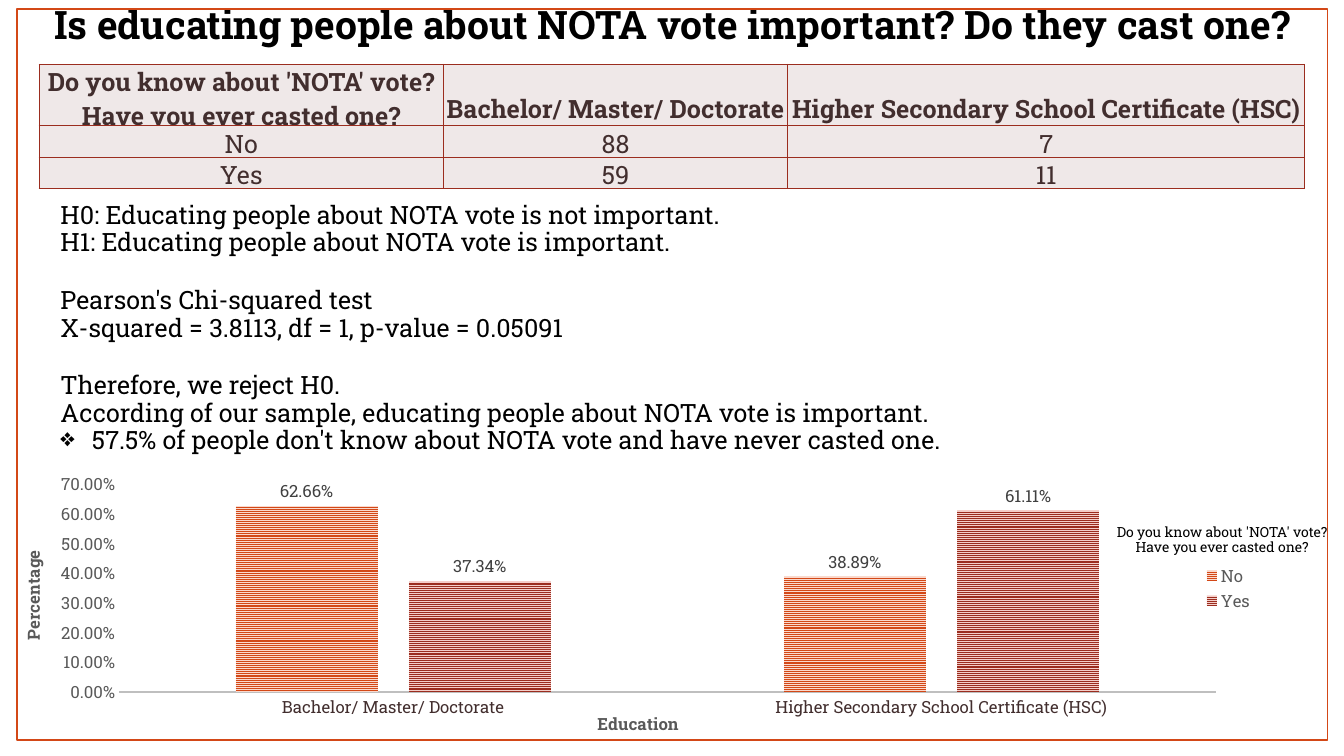
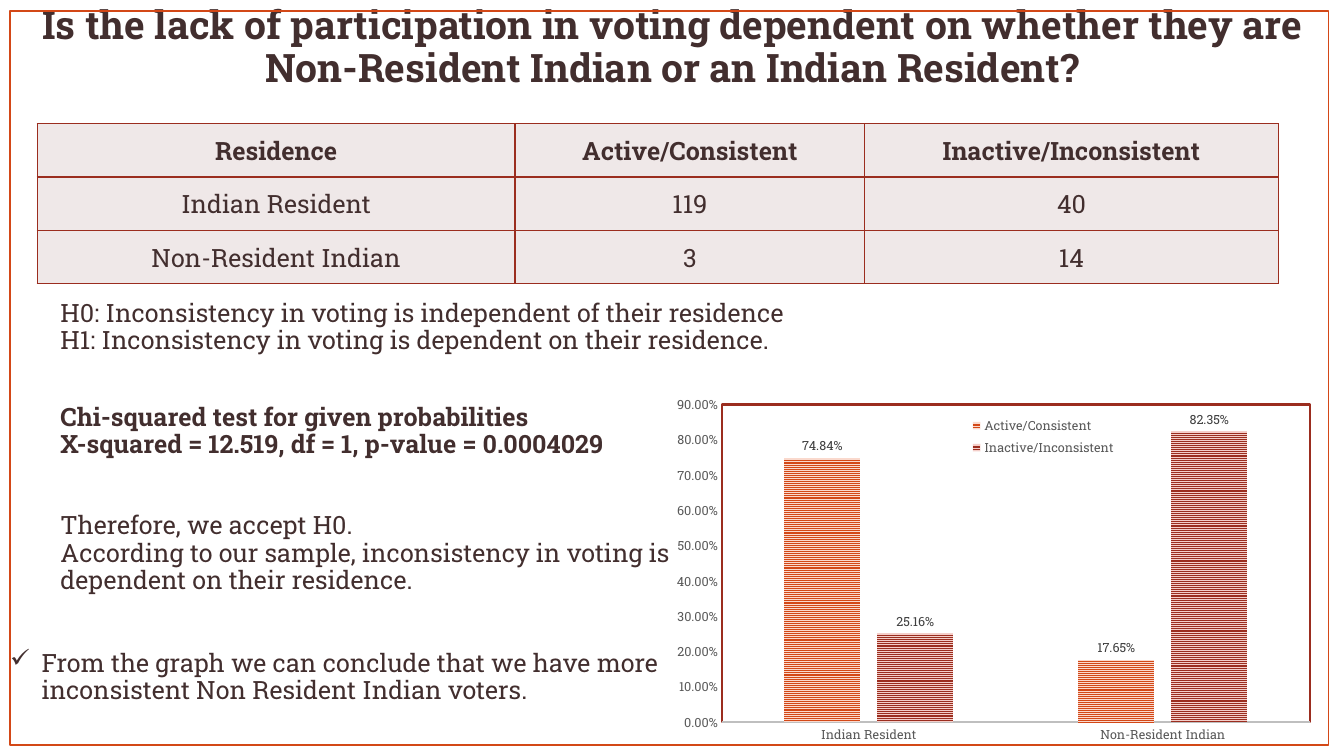
from lxml import etree
from pptx import Presentation
from pptx import util as u
from pptx.chart.data import CategoryChartData
from pptx.dml.color import RGBColor
from pptx.enum import chart as charts, dml, shapes, text
from pptx.oxml import ns

Pt = u.Pt
FONT = "Roboto Slab"
COLORS = {
    "black": "000000", "ink": "422E2E", "white": "FFFFFF",
    "orange": "D34817", "orange_pale": "FAD9CD",
    "red": "9B2D1F", "red_pale": "F4CEC9",
    "cell": "EFE8E8", "axis": "BFBFBF", "label": "404040", "grey": "595959",
}
SERIES_COLORS = (("orange", "orange_pale"), ("red", "red_pale"))
LINE_SPACING = 0.91
INDENT, HANG = 36, 22.5
PERCENT = "0.00%"


def rgb(name):
    return RGBColor.from_string(COLORS[name])


def set_all(target, **values):
    for name, value in values.items():
        setattr(target, name, value)


def style(font, size, color, bold=False):
    set_all(font, name=FONT, size=Pt(size), bold=bold)
    font.color.rgb = rgb(color)


def add_node(parent, tag, index=None, **attributes):
    node = etree.Element(ns.qn(tag), attributes)
    parent.insert(len(parent) if index is None else index, node)
    return node


def add_color_fill(parent, name):
    add_node(add_node(parent, "a:solidFill"), "a:srgbClr", val=COLORS[name])


def fill_para(para, words, size, color, bold=False, align=text.PP_ALIGN.LEFT):
    para.alignment = align
    span = para.add_run()
    span.text = words
    style(span.font, size, color, bold)


def next_para(frame, index):
    return frame.add_paragraph() if index else frame.paragraphs[0]


def text_frame(page, box):
    frame = page.shapes.add_textbox(*map(Pt, box)).text_frame
    set_all(frame, word_wrap=True, margin_left=0, margin_right=0,
            margin_top=0, margin_bottom=0)
    return frame


def add_centred(page, box, lines, size, color, bold=False):
    frame = text_frame(page, box)
    for index, words in enumerate(lines):
        para = next_para(frame, index)
        para.line_spacing = LINE_SPACING
        fill_para(para, words, size, color, bold, text.PP_ALIGN.CENTER)


def add_title(page, words, color):
    add_centred(page, (7.2, 3.6, 945.6, 74), [words], 28, color, True)


def add_body(page, box, color, lines):
    """Each line is a dict: words, and optionally gap, left, bullet, bold."""
    frame = text_frame(page, box)
    for index, line in enumerate(lines):
        para = next_para(frame, index)
        set_all(para, line_spacing=LINE_SPACING, space_before=Pt(line.get("gap", 0)))
        fill_para(para, line["words"], 18, color, line.get("bold", False))
        props = para._p.get_or_add_pPr()
        props.set("marL", str(Pt(line.get("left", INDENT))))
        if "bullet" in line:
            props.set("indent", str(Pt(-HANG)))
            add_node(props, "a:buChar", char=line["bullet"])


def add_cell_borders(cell):
    props = cell._tc.get_or_add_tcPr()
    for index, side in enumerate(("a:lnL", "a:lnR", "a:lnT", "a:lnB")):
        add_color_fill(add_node(props, side, index, w=str(Pt(1))), "red")


def add_grid(page, box, widths, heights, rows, anchor):
    holder = page.shapes.add_table(len(rows), len(widths), *map(Pt, box))
    table = holder.table
    for column, width in zip(table.columns, widths):
        column.width = Pt(width)
    for row, height in zip(table.rows, heights):
        row.height = Pt(height)
    holder.height = Pt(box[3])
    for r, row in enumerate(rows):
        for c, words in enumerate(row):
            cell = table.cell(r, c)
            set_all(cell, vertical_anchor=anchor, margin_left=Pt(0.7),
                    margin_right=Pt(0.7), margin_top=Pt(0.7), margin_bottom=0)
            cell.fill.solid()
            cell.fill.fore_color.rgb = rgb("cell")
            for index, line in enumerate(words.split("\n")):
                fill_para(next_para(cell.text_frame, index), line, 18, "ink",
                          r == 0, text.PP_ALIGN.CENTER)
            add_cell_borders(cell)


def set_layout(parent, index, fractions, inner=False):
    """Fix the place of a chart part as fractions of the chart."""
    for old in parent.findall(ns.qn("c:layout")):
        parent.remove(old)
    manual = add_node(add_node(parent, "c:layout", index), "c:manualLayout")
    if inner:
        add_node(manual, "c:layoutTarget", val="inner")
    for mode in ("c:xMode", "c:yMode"):
        add_node(manual, mode, val="edge")
    for tag, value in zip(("c:x", "c:y", "c:w", "c:h"), fractions):
        add_node(manual, tag, val=str(value))


def format_axis(axis, size, color, title):
    set_all(axis, has_major_gridlines=False, has_title=bool(title),
            major_tick_mark=charts.XL_TICK_MARK.NONE,
            minor_tick_mark=charts.XL_TICK_MARK.NONE)
    style(axis.tick_labels.font, size, color)
    if title:
        fill_para(axis.axis_title.text_frame.paragraphs[0], title, 12, "grey",
                  True, text.PP_ALIGN.CENTER)


def format_series(series, colors, size):
    fill = series.format.fill
    fill.patterned()
    fill.pattern = dml.MSO_PATTERN.NARROW_HORIZONTAL
    fill.fore_color.rgb, fill.back_color.rgb = map(rgb, colors)
    labels = series.data_labels
    set_all(labels, show_value=True, number_format=PERCENT,
            number_format_is_linked=False,
            position=charts.XL_LABEL_POSITION.OUTSIDE_END)
    style(labels.font, size, "label")


def add_columns(page, box, categories, series, size, top, plot_box, legend_box,
                category_color="grey", titles=(None, None), framed=False):
    data = CategoryChartData(number_format=PERCENT)
    data.categories = categories
    for name, values in series.items():
        data.add_series(name, values)
    chart = page.shapes.add_chart(
        charts.XL_CHART_TYPE.COLUMN_CLUSTERED, *map(Pt, box), data).chart
    style(chart.font, 10, "black")
    set_all(chart, has_title=False, has_legend=True)
    plot = chart.plots[0]
    set_all(plot, gap_width=164, overlap=-22, vary_by_categories=False)
    for item, colors in zip(plot.series, SERIES_COLORS):
        format_series(item, colors, size)

    format_axis(chart.category_axis, size, category_color, titles[0])
    line = chart.category_axis.format.line
    line.width, line.color.rgb = Pt(1.5), rgb("axis")
    values = chart.value_axis
    format_axis(values, size, "grey", titles[1])
    set_all(values, minimum_scale=0, maximum_scale=top, major_unit=0.1)
    set_all(values.tick_labels, number_format=PERCENT, number_format_is_linked=False)
    values.format.line.fill.background()

    legend = chart.legend
    legend.include_in_layout = False
    style(legend.font, size, "grey")
    set_layout(legend._element, 1, legend_box)
    area = chart._chartSpace.chart.plotArea
    set_layout(area, 0, plot_box, inner=True)
    if framed:
        props = add_node(area, "c:spPr")
        add_color_fill(props, "white")
        add_color_fill(add_node(props, "a:ln", w=str(Pt(1.5))), "red")


def add_border(page, box):
    border = page.shapes.add_shape(shapes.MSO_SHAPE.RECTANGLE, *map(Pt, box))
    border.shadow.inherit = False
    border.fill.background()
    border.line.width, border.line.color.rgb = Pt(1), rgb("orange")


def nota_slide(page):
    question = ["Do you know about 'NOTA' vote?", "Have you ever casted one?"]
    levels = ["Bachelor/ Master/ Doctorate", "Higher Secondary School Certificate (HSC)"]
    add_title(page, "Is educating people about NOTA vote important? Do they cast one?", "black")
    add_body(page, (7.2, 144.6, 945.6, 195), "black", [
        {"words": "H0: Educating people about NOTA vote is not important."},
        {"words": "H1: Educating people about NOTA vote is important."},
        {"words": "Pearson's Chi-squared test", "gap": 21.6},
        {"words": "X-squared = 3.8113, df = 1, p-value = 0.05091"},
        {"words": "Therefore, we reject H0.", "gap": 21.6},
        {"words": "According of our sample, educating people about NOTA vote is important."},
        {"words": "57.5% of people don't know about NOTA vote and have never casted one.",
         "left": INDENT + HANG, "bullet": "❖"},
    ])
    add_centred(page, (793, 375, 160, 25), question, 10, "black")
    add_grid(page, (28, 46, 904, 88), (288.7, 246, 369.3), (40.3, 15.1, 15.1),
             [["\n".join(question), *levels], ["No", "88", "7"], ["Yes", "59", "11"]],
             text.MSO_ANCHOR.BOTTOM)
    add_columns(page, (12.2, 337.7, 910.8, 190.8), levels,
                {"No": (0.6266, 0.3889), "Yes": (0.3734, 0.6111)}, 12, 0.7,
                (0.08, 0.04, 0.86, 0.78), (0.92, 0.33, 0.06, 0.2),
                category_color="ink", titles=("Education", "Percentage"))
    add_border(page, (12.2, 6.5, 936, 522))


def residence_slide(page):
    residences = ["Indian Resident", "Non-Resident Indian"]
    habits = ["Active/Consistent", "Inactive/Inconsistent"]
    add_title(page, "Is the lack of participation in voting dependent on whether they are "
                    "Non-Resident Indian or an Indian Resident?", "ink")
    add_body(page, (7.2, 214.6, 945.6, 310), "ink", [
        {"words": "H0: Inconsistency in voting is independent of their residence"},
        {"words": "H1: Inconsistency in voting is dependent on their residence."},
        {"words": "Chi-squared test for given probabilities", "gap": 34.8, "bold": True},
        {"words": "X-squared = 12.519, df = 1, p-value = 0.0004029", "bold": True},
        {"words": "Therefore, we accept H0.", "gap": 38.4},
        {"words": "According to our sample, inconsistency in voting is"},
        {"words": "dependent on their residence."},
        {"words": "From the graph we can conclude that we have more",
         "gap": 39, "left": HANG, "bullet": "✓"},
        {"words": "inconsistent Non Resident Indian voters.", "left": HANG},
    ])
    add_grid(page, (26.6, 88.5, 886.4, 114), (341.3, 249.9, 295.2), (38, 38, 38),
             [["Residence", *habits], [residences[0], "119", "40"],
              [residences[1], "3", "14"]], text.MSO_ANCHOR.MIDDLE)
    add_columns(page, (471.6, 270, 488.4, 270), residences,
                dict(zip(habits, ((0.7484, 0.1765), (0.2516, 0.8235)))), 9, 0.9,
                (0.09, 0.07, 0.86, 0.84), (0.44, 0.09, 0.24, 0.13), framed=True)
    add_border(page, (7.2, 7.9, 941.8, 524.2))


def main():
    deck = Presentation()
    deck.slide_width, deck.slide_height = Pt(960), Pt(540)
    for build in (nota_slide, residence_slide):
        build(deck.slides.add_slide(deck.slide_layouts[6]))
    deck.save("out.pptx")


if __name__ == "__main__":
    main()
